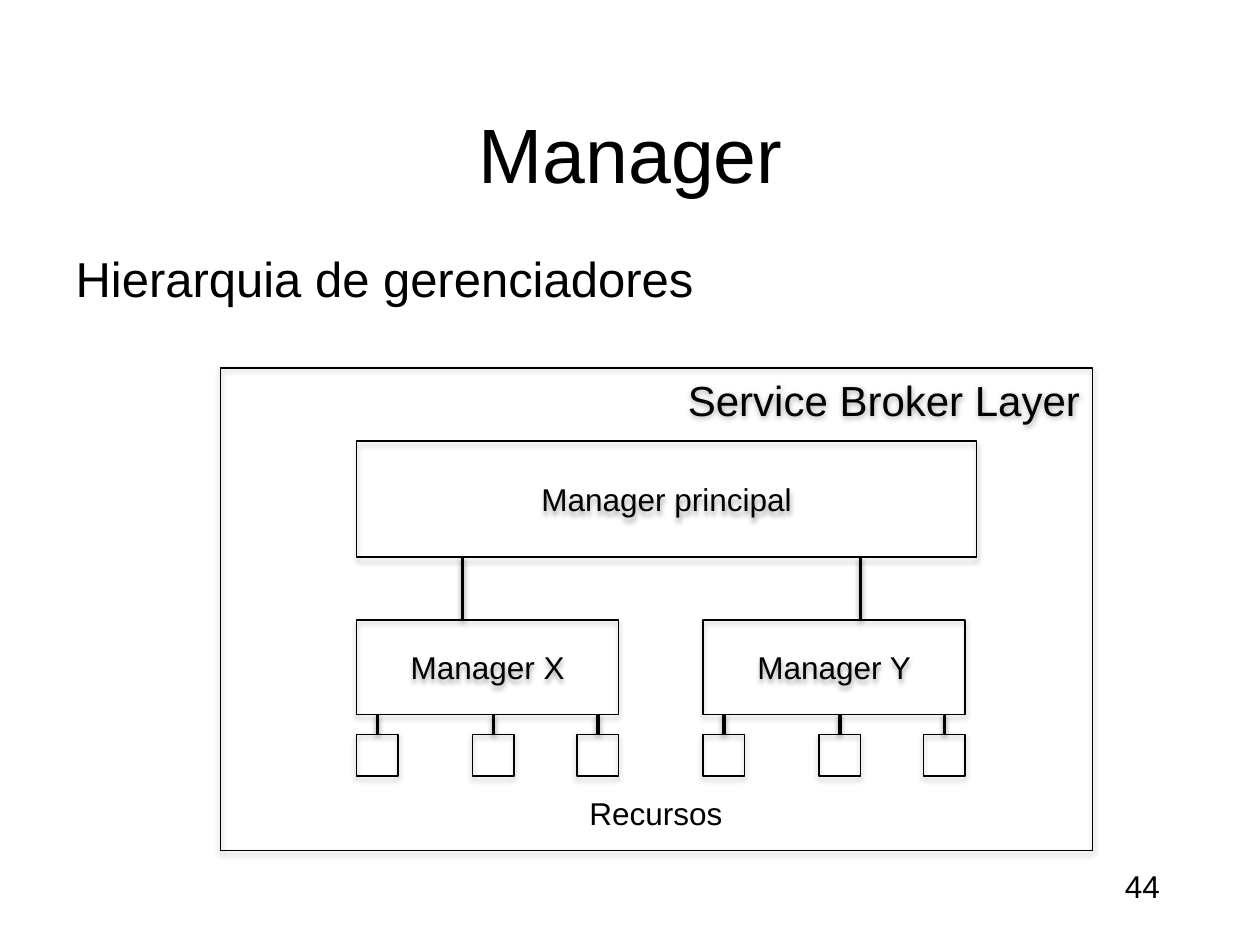
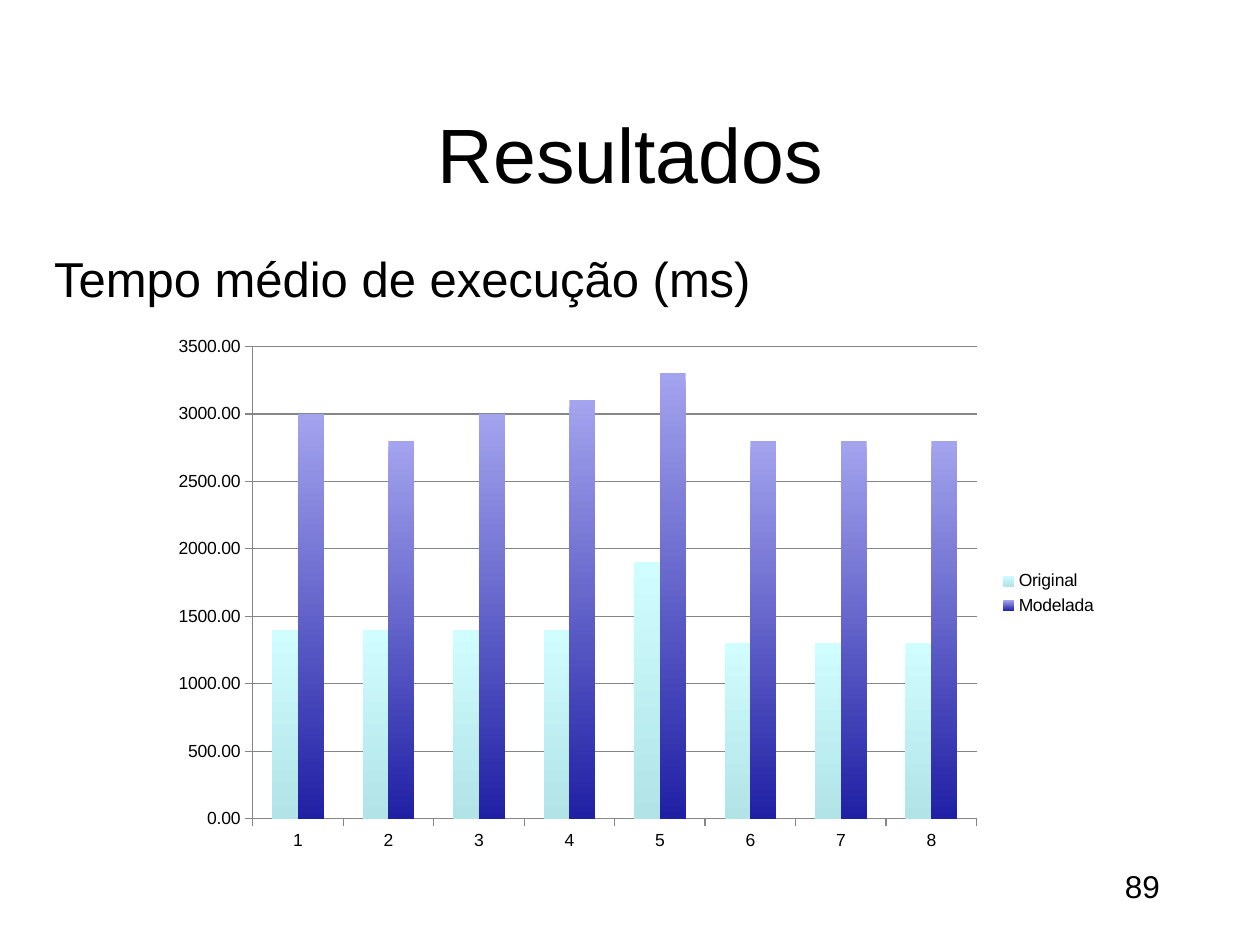
from dataclasses import dataclass

from lxml.etree import SubElement
from pptx import Presentation
from pptx.chart.data import CategoryChartData
from pptx.dml.color import RGBColor
from pptx.enum.chart import XL_CHART_TYPE, XL_LEGEND_POSITION, XL_TICK_MARK
from pptx.enum.shapes import MSO_CONNECTOR, MSO_SHAPE
from pptx.enum.text import MSO_ANCHOR, MSO_AUTO_SIZE, PP_ALIGN
from pptx.oxml import parse_xml
from pptx.oxml.ns import nsdecls, qn
from pptx.util import Inches, Pt

BLACK = RGBColor(0x00, 0x00, 0x00)
GRID_GRAY = RGBColor(0x86, 0x86, 0x86)
FONT = "Arial"


@dataclass(frozen=True)
class Area:
    left: float
    top: float
    width: float
    height: float

    @property
    def bottom(self) -> float:
        return self.top + self.height

    def lengths(self) -> tuple:
        return tuple(Inches(v) for v in (self.left, self.top, self.width, self.height))


@dataclass(frozen=True)
class Manager:
    name: str
    left: float
    link_x: float


@dataclass(frozen=True)
class Series:
    name: str
    values: tuple
    top_color: RGBColor
    bottom_color: RGBColor


TITLE_AREA = Area(0.33, 0.75, 9.35, 0.92)
NUMBER_AREA = Area(8.83, 6.83, 0.51, 0.4)

# Manager hierarchy
LAYER = Area(1.75, 2.92, 6.92, 3.83)
MAIN_MANAGER = Area(2.83, 3.5, 4.92, 0.92)
MANAGER_TOP, MANAGER_WIDTH, MANAGER_HEIGHT = 4.92, 2.08, 0.75
RESOURCE_TOP, RESOURCE_SIZE = 5.83, 0.33
RESOURCE_OFFSETS = (0, 0.92, 1.75)
MANAGERS = (Manager("Manager X", 2.83, 3.67), Manager("Manager Y", 5.58, 6.83))

# Execution times
CHART_AREA = Area(1.25, 2.58, 7.56, 4.26)
PLOT_LAYOUT = {"x": 0.1, "y": 0.04, "w": 0.76, "h": 0.88}
SERIES = (
    Series("Original", (1400, 1400, 1400, 1400, 1900, 1300, 1300, 1300),
           RGBColor(0xD0, 0xFD, 0xFF), RGBColor(0xB1, 0xE3, 0xE7)),
    Series("Modelada", (3000, 2800, 3000, 3100, 3300, 2800, 2800, 2800),
           RGBColor(0xA3, 0xA3, 0xEE), RGBColor(0x20, 0x20, 0xA5)),
)


def write_text(shape, text: str, *, size: float = 18, align=PP_ALIGN.LEFT,
               anchor=MSO_ANCHOR.TOP, wrap: bool = True):
    frame = shape.text_frame
    frame.word_wrap = wrap
    frame.auto_size = MSO_AUTO_SIZE.NONE if wrap else MSO_AUTO_SIZE.SHAPE_TO_FIT_TEXT
    frame.vertical_anchor = anchor
    para = frame.paragraphs[0]
    para.alignment = align
    span = para.add_run()
    span.text = text
    span.font.name, span.font.size = FONT, Pt(size)
    span.font.color.rgb = BLACK
    return para


def place(shape, area: Area) -> None:
    shape.left, shape.top, shape.width, shape.height = area.lengths()


def add_label(page, text: str, area: Area) -> None:
    write_text(page.shapes.add_textbox(*area.lengths()), text, wrap=False)


def add_page(deck, title: str, body: str, body_area: Area, number: str):
    page = deck.slides.add_slide(deck.slide_layouts[1])
    add_label(page, number, NUMBER_AREA)
    place(page.shapes.title, TITLE_AREA)
    write_text(page.shapes.title, title, size=44, align=PP_ALIGN.CENTER,
               anchor=MSO_ANCHOR.MIDDLE)
    box = page.placeholders[1]
    place(box, body_area)
    para = write_text(box, body, size=28)
    para.space_after = Pt(12)
    # Hanging indent without a bullet
    properties = para._p.get_or_add_pPr()
    properties.set("marL", str(Inches(0.38)))
    properties.set("indent", str(-Inches(0.38)))
    SubElement(properties, qn("a:buNone"))
    return page


def outline(shape, width: float, distance: float, opacity: int) -> None:
    """Black line with a soft shadow below."""
    shape.line.color.rgb = BLACK
    shape.line.width = Pt(width)
    shape.element.spPr.append(parse_xml(
        f'<a:effectLst {nsdecls("a")}><a:outerShdw blurRad="{Pt(3.1)}" '
        f'dist="{Pt(distance)}" dir="5400000" rotWithShape="0"><a:srgbClr val="{BLACK}">'
        f'<a:alpha val="{opacity * 1000}"/></a:srgbClr></a:outerShdw></a:effectLst>'))


def add_box(page, area: Area, text: str = "", **text_format) -> None:
    box = page.shapes.add_shape(MSO_SHAPE.RECTANGLE, *area.lengths())
    box.fill.background()
    outline(box, 0.75, 1.8, 35)
    if text:
        write_text(box, text, **text_format)


def add_link(page, x: float, top: float, bottom: float) -> None:
    link = page.shapes.add_connector(
        MSO_CONNECTOR.STRAIGHT, Inches(x), Inches(top), Inches(x), Inches(bottom))
    outline(link, 2, 1.6, 38)


def draw_hierarchy(page) -> None:
    centered = {"align": PP_ALIGN.CENTER, "anchor": MSO_ANCHOR.MIDDLE}
    for manager in MANAGERS:
        area = Area(manager.left, MANAGER_TOP, MANAGER_WIDTH, MANAGER_HEIGHT)
        for offset in RESOURCE_OFFSETS:
            left = manager.left + offset
            add_box(page, Area(left, RESOURCE_TOP, RESOURCE_SIZE, RESOURCE_SIZE))
            add_link(page, left + RESOURCE_SIZE / 2, area.bottom, RESOURCE_TOP)
        add_box(page, area, manager.name, **centered)
        add_link(page, manager.link_x, MAIN_MANAGER.bottom, MANAGER_TOP)
    add_box(page, MAIN_MANAGER, "Manager principal", **centered)
    add_box(page, LAYER, "Service Broker Layer", size=24, align=PP_ALIGN.RIGHT)
    add_label(page, "Recursos", Area(4.58, 6.25, 1.27, 0.4))


def set_plot_layout(chart) -> None:
    plot_area = chart.element.chart.plotArea
    for old_layout in plot_area.findall(qn("c:layout")):
        plot_area.remove(old_layout)
    layout = parse_xml(f'<c:layout {nsdecls("c")}><c:manualLayout/></c:layout>')
    manual = layout[0]
    SubElement(manual, qn("c:layoutTarget"), val="inner")
    for axis in "xy":
        SubElement(manual, qn(f"c:{axis}Mode"), val="edge")
    for key, share in PLOT_LAYOUT.items():
        SubElement(manual, qn(f"c:{key}"), val=str(share))
    plot_area.insert(0, layout)


def draw_times(page) -> None:
    data = CategoryChartData(number_format="0.00")
    data.categories = [str(number) for number in range(1, 9)]
    for series in SERIES:
        data.add_series(series.name, series.values)
    chart = page.shapes.add_chart(
        XL_CHART_TYPE.COLUMN_CLUSTERED, *CHART_AREA.lengths(), data).chart
    chart.has_title = False
    chart.font.name, chart.font.size = FONT, Pt(10)
    chart.font.color.rgb = BLACK
    chart.has_legend = True
    chart.legend.position = XL_LEGEND_POSITION.RIGHT
    chart.legend.include_in_layout = False

    # Columns
    plot = chart.plots[0]
    plot.vary_by_categories = False
    plot.gap_width, plot.overlap = 150, 0
    for column, series in zip(plot.series, SERIES):
        fill = column.format.fill
        fill.gradient()
        fill.gradient_angle = 270
        colors = (series.top_color, series.bottom_color)
        for stop, color in zip(fill.gradient_stops, colors):
            stop.color.rgb = color

    # Axes
    values = chart.value_axis
    values.minimum_scale, values.maximum_scale, values.major_unit = 0, 3500, 500
    values.has_major_gridlines = True
    values.tick_labels.number_format = "0.00"
    values.tick_labels.number_format_is_linked = False
    for axis in (values, chart.category_axis):
        axis.major_tick_mark = XL_TICK_MARK.OUTSIDE
    for part in (values, chart.category_axis, values.major_gridlines):
        part.format.line.color.rgb = GRID_GRAY
        part.format.line.width = Pt(0.75)
    set_plot_layout(chart)


def main() -> None:
    deck = Presentation()
    deck.slide_width, deck.slide_height = Inches(10), Inches(7.5)
    draw_hierarchy(add_page(deck, "Manager", "Hierarquia de gerenciadores",
                            Area(0.5, 1.92, 9, 0.92), "44"))
    draw_times(add_page(deck, "Resultados", "Tempo médio de execução (ms)",
                        Area(0.33, 1.92, 9.35, 4.67), "89"))
    deck.save("out.pptx")


if __name__ == "__main__":
    main()
